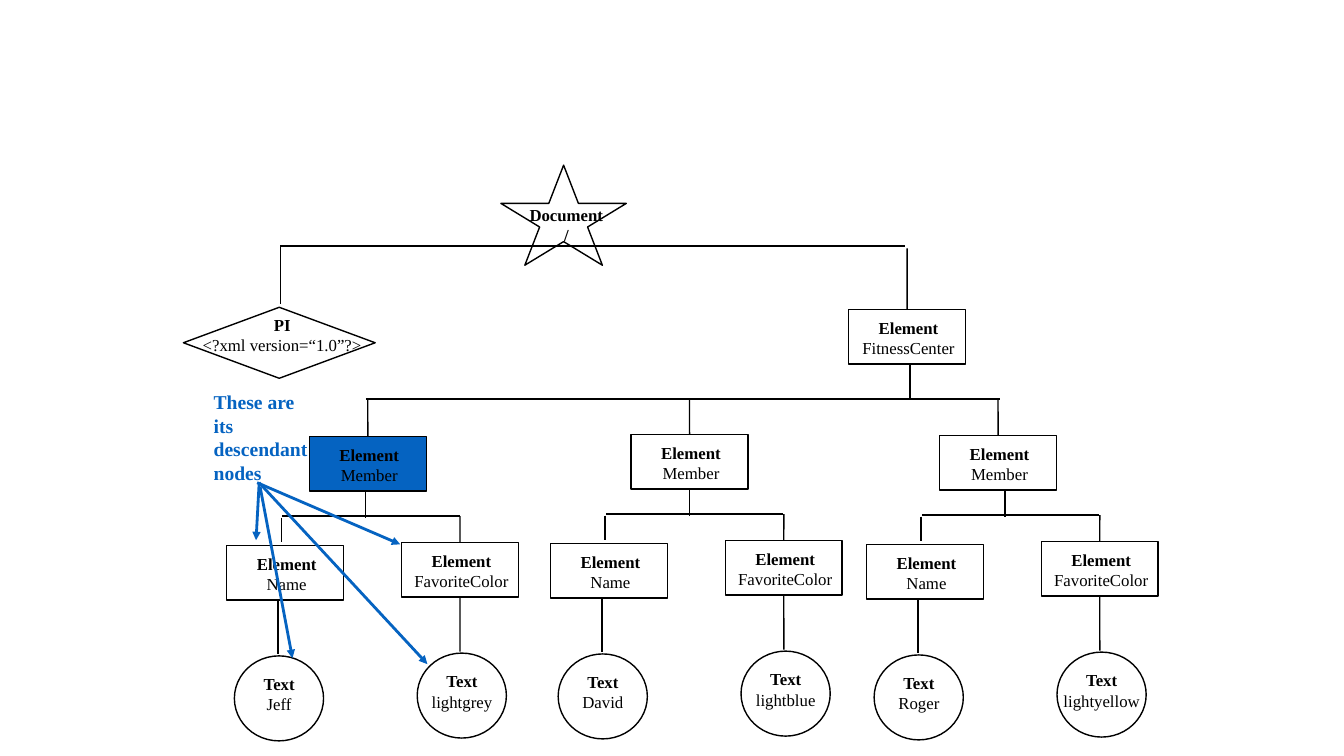
from lxml.etree import SubElement
from pptx import Presentation
from pptx.dml.color import RGBColor
from pptx.enum.shapes import MSO_CONNECTOR as Link, MSO_SHAPE as Kind
from pptx.enum.text import PP_ALIGN as Align
from pptx.oxml.ns import qn
from pptx.util import Pt

BLACK = RGBColor(0x00, 0x00, 0x00)
WHITE = RGBColor(0xFF, 0xFF, 0xFF)
BLUE = RGBColor(0x05, 0x63, 0xC1)
FONT = "Times New Roman"
TOP = 0
BOTTOM = 2
WIDE, HIGH = 83.5, 39


def add_run(para, text, size, color, bold):
    """Add one styled run to a paragraph."""
    run = para.add_run()
    run.text = text
    run.font.name = FONT
    run.font.size = Pt(size)
    run.font.bold = bold
    run.font.color.rgb = color


def add_line(slide, start, end, color=BLACK, width=1, arrow=False):
    """Draw a straight line, with an arrowhead at its end if asked."""
    line = slide.shapes.add_connector(Link.STRAIGHT, *map(Pt, start + end))
    line.line.color.rgb = color
    line.line.width = Pt(width)
    props = line._element.spPr
    if arrow:
        SubElement(props.find(qn("a:ln")), qn("a:tailEnd"), type="triangle")
    SubElement(props, qn("a:effectLst"))
    return line


def add_shape(slide, kind, box, fill=WHITE):
    """Draw an outlined node shape."""
    shape = slide.shapes.add_shape(kind, *map(Pt, box))
    shape.shadow.inherit = False
    shape.fill.solid()
    shape.fill.fore_color.rgb = fill
    shape.line.color.rgb = BLACK
    shape.line.width = Pt(1)
    return shape


def add_label(slide, mid, top, width, head, body, bold=False):
    """Write a bold head and a body line, centred on mid."""
    area = slide.shapes.add_textbox(Pt(mid - width / 2), Pt(top), Pt(width), Pt(36))
    frame = area.text_frame
    frame.word_wrap = False
    para = frame.paragraphs[0]
    for text, strong in ((head, True), (body, bold)):
        para.alignment = Align.CENTER
        add_run(para, text, 12, BLACK, strong)
        if text == head:
            para = frame.add_paragraph()


def add_box(slide, x, y, name, width=57.5, fill=WHITE):
    """Draw an element box with its label."""
    box = add_shape(slide, Kind.RECTANGLE, (x, y, WIDE, HIGH), fill)
    add_label(slide, x + 42.8, y + 2.2, width, "Element", name)
    return box


def add_leaf(slide, x, y, text, width):
    """Draw a text circle with its label."""
    add_shape(slide, Kind.OVAL, (x, y, 63.7, 60.7))
    add_label(slide, x + 32, y + 9.4, width, "Text", text)


def add_root(slide, x, y):
    """Draw the document, its instruction and the root element."""
    add_shape(slide, Kind.STAR_5_POINT, (x + 226.8, y, 89.6, 71.5))
    add_label(slide, x + 273.6, y + 24.5, 67.7, "Document", "/", True)
    add_shape(slide, Kind.DIAMOND, (x, y + 101.5, 137, 50.7))
    add_label(slide, x + 70.6, y + 103, 129.6, "PI", "<?xml version=“1.0”?>")
    root = add_box(slide, x + 475.2, y + 103, "FitnessCenter", 81.4)
    add_line(slide, (x + 69.2, y + 57.8), (x + 515.6, y + 57.8))
    add_line(slide, (x + 69.2, y + 58.3), (x + 69.2, y + 99.4))
    add_line(slide, (x + 517, y + 59.5), (x + 517, y + 103)).end_connect(root, TOP)
    add_line(slide, (x + 519.1, y + 142.6), (x + 519.1, y + 167))
    add_line(slide, (x + 130.4, y + 167), (x + 583.2, y + 167))


def add_tree(slide, x, y, shift, fill, name, color, widths):
    """Draw a member, its two child elements and their texts."""
    left, peak = x + shift, y - 77.8
    member = add_box(slide, left, peak, "Member", fill=fill)
    add_line(slide, (left + 41.7, 285.6), (left + 41.7, peak)).end_connect(member, TOP)
    add_box(slide, x, y, "Name")
    shade = add_box(slide, x + 124.8, y - 2.1, "FavoriteColor", 82.8)
    add_line(slide, (x + 39.6, y - 20.9), (x + 166.3, y - 20.9))
    add_line(slide, (x + 39, y - 19.7), (x + 39, y - 2.1))
    add_line(slide, (x + 166.6, y - 20.9), (x + 166.6, y - 2.1)).end_connect(shade, TOP)
    add_line(slide, (x + 99, y - 38.4), (x + 99, y - 19.7))
    add_line(slide, (x + 36.7, y + 39.4), (x + 36.7, y + 77.8))
    stem = add_line(slide, (x + 166.6, y + 37), (x + 166.6, y + 76))
    stem.begin_connect(shade, BOTTOM)
    add_leaf(slide, x + 5.4, y + 79, name, widths[0])
    add_leaf(slide, x + 136, y + 77, color, widths[1])


def add_note(slide, x, y):
    """Write the blue note and its arrows to the descendants."""
    area = slide.shapes.add_textbox(Pt(x), Pt(y), Pt(82), Pt(75))
    area.text_frame.word_wrap = True
    para = area.text_frame.paragraphs[0]
    add_run(para, "These are its descendant nodes", 14, BLUE, True)
    rays = (
        ((39.6, 70.6), (37.4, 110.9)),
        ((38.2, 69.8), (140.4, 113.8)),
        ((39.6, 69.8), (159.8, 199.4)),
        ((40.3, 72.7), (63.4, 195.1)),
    )
    for start, end in rays:
        add_line(slide, (x + start[0], y + start[1]), (x + end[0], y + end[1]),
                 BLUE, 2, True)


def main():
    """Build the node tree slide."""
    deck = Presentation()
    deck.slide_width, deck.slide_height = Pt(960), Pt(540)
    slide = deck.slides.add_slide(deck.slide_layouts[6])
    add_root(slide, 131, 118)
    trees = (
        (162, 389.5, 59, BLUE, "Jeff", "lightgrey", (36.7, 58.3)),
        (393.3, 388.1, 57.5, WHITE, "David", "lightblue", (44, 57.6)),
        (619, 388.8, 52.2, WHITE, "Roger", "lightyellow", (44, 69.8)),
    )
    for tree in trees:
        add_tree(slide, *tree)
    add_note(slide, 145.5, 275)
    deck.save("out.pptx")


if __name__ == "__main__":
    main()
